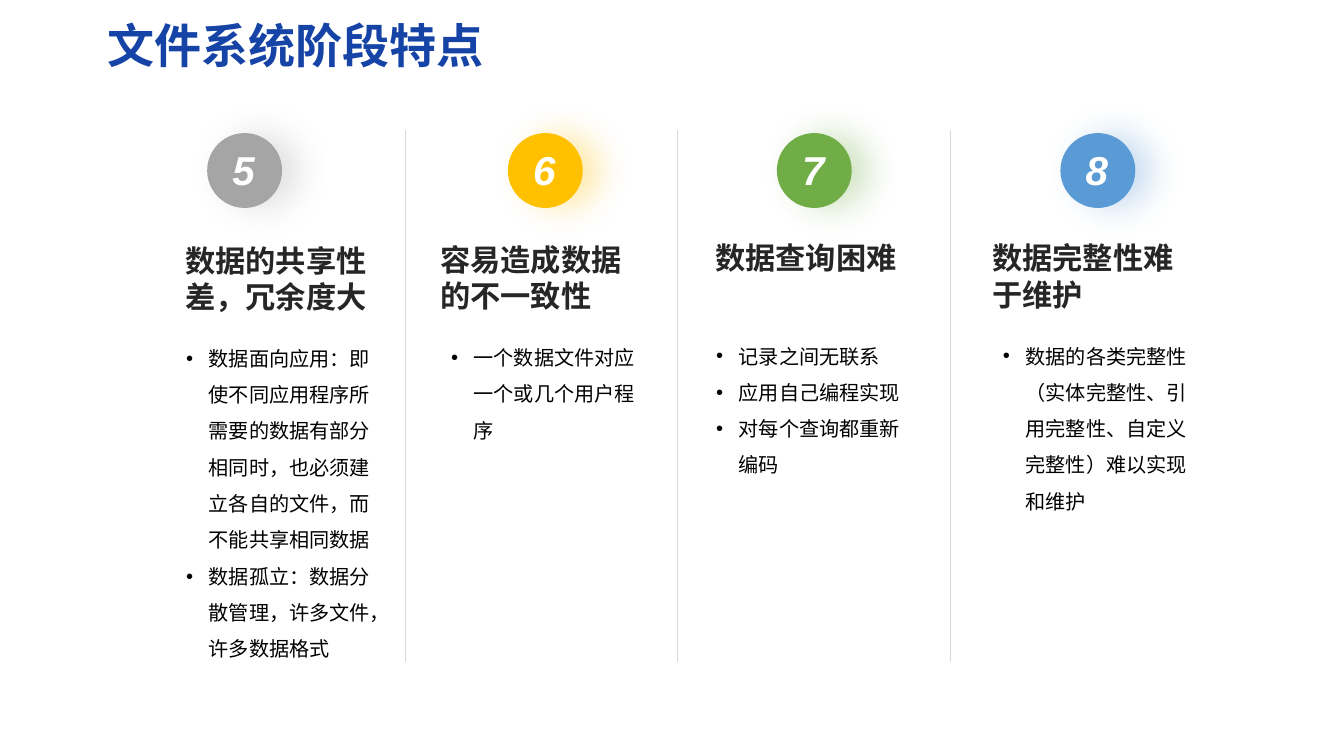
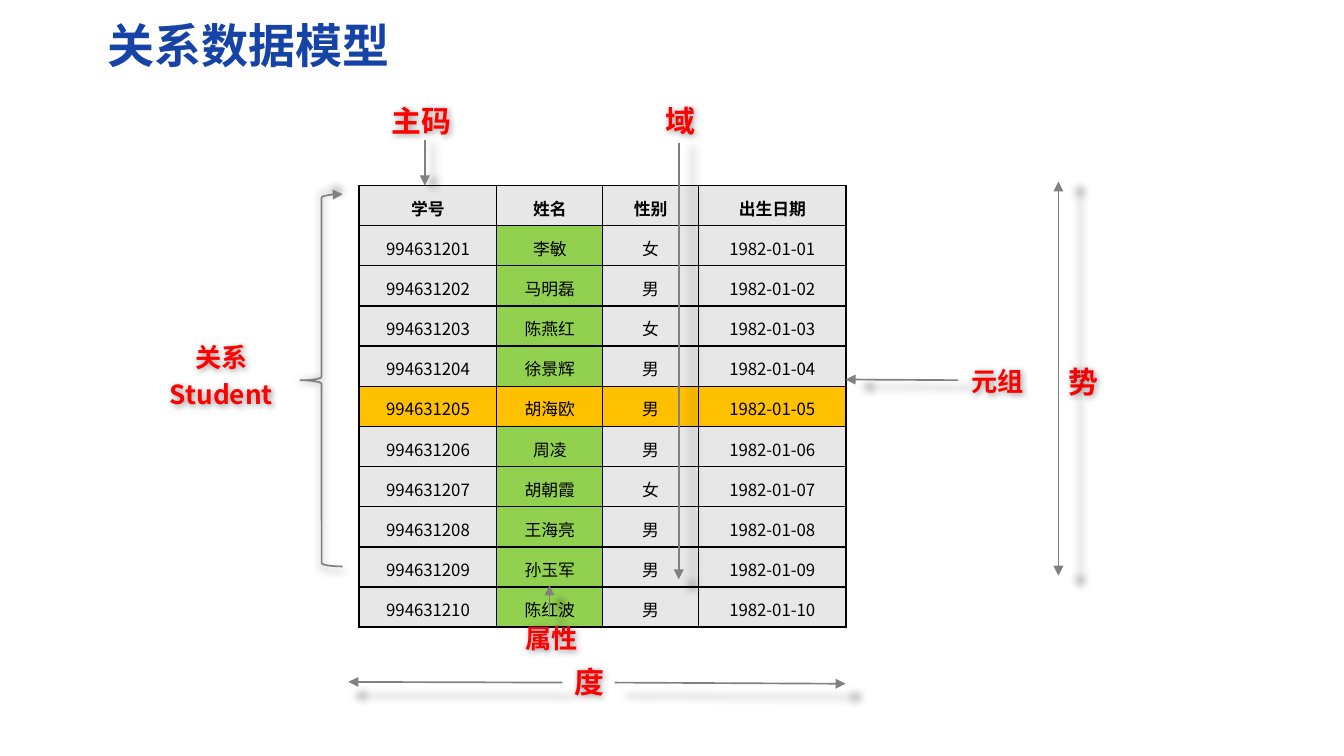
from lxml.etree import SubElement
from pptx import Presentation
from pptx.dml.color import RGBColor
from pptx.enum.shapes import MSO_CONNECTOR as Link, MSO_SHAPE as Form
from pptx.enum.text import MSO_ANCHOR as Anchor, PP_ALIGN as Align
from pptx.oxml.ns import qn
from pptx.util import Pt

SANS, LATIN = "Noto Sans CJK SC", "Arial"
HEX = dict(title="1543A6", head="262626", text="000000", white="FFFFFF",
           rule="D9D9D9", red="FF0000", arrow="808080", cell="E7E7E7",
           green="92D050", gold="FFC000", gray="A5A5A5", leaf="70AD47",
           blue="5B9BD5")

# number, colour, circle left, body left, heading top, alignment, heading, points
TRAITS = [
    ("5", "gray", 123.3, 103.7, 140.4, Align.CENTER, "数据的共享性差，冗余度大",
     ["数据面向应用：即使不同应用程序所需要的数据有部分相同时，也必须建立各自的文件，而不能共享相同数据",
      "数据孤立：数据分散管理，许多文件，许多数据格式"]),
    ("6", "gold", 302.3, 261.4, 139.9, Align.LEFT, "容易造成数据的不一致性",
     ["一个数据文件对应一个或几个用户程序"]),
    ("7", "leaf", 462.4, 419.2, 139, Align.CENTER, "数据查询困难",
     ["记录之间无联系", "应用自己编程实现", "对每个查询都重新编码"]),
    ("8", "blue", 631.2, 589.9, 139, Align.LEFT, "数据完整性难于维护",
     ["数据的各类完整性（实体完整性、引用完整性、自定义完整性）难以实现和维护"]),
]

FIELDS = ["学号", "姓名", "性别", "出生日期"]
PEOPLE = [("李敏", "女"), ("马明磊", "男"), ("陈燕红", "女"), ("徐景辉", "男"),
          ("胡海欧", "男"), ("周凌", "男"), ("胡朝霞", "女"), ("王海亮", "男"),
          ("孙玉军", "男"), ("陈红波", "男")]
WIDTHS = [81.9, 63.1, 56.9, 88]
TUPLE = 5  # highlighted row
NAME = 1  # highlighted column

# lines of text, box, size
LABELS = [
    (["属性"], (304.6, 366.5, 47.5, 26.6), 15.6),
    (["度"], (334.8, 392.4, 31.7, 26.6), 17.8),
    (["元组"], (570.2, 213.8, 47.5, 26.6), 15.6),
    (["势"], (628.8, 215.6, 32.4, 23), 17.8),
    (["关系", "Student"], (92.9, 198.7, 77.8, 49.7), 15.6),
    (["域"], (388.8, 58.3, 31.7, 26.6), 17.8),
    (["主码"], (221, 58.3, 59.8, 26.6), 17.8),
]
# from, to, arrowheads
ARROWS = [
    ((327.1, 366.5), (327.1, 348.5), ["tailEnd"]),
    ((334.8, 406.3), (207.4, 405.9), ["tailEnd"]),
    ((365.8, 406.3), (503.3, 407), ["tailEnd"]),
    ((570.2, 226.3), (503.3, 225.9), ["tailEnd"]),
    ((630, 108), (630, 342.7), ["headEnd", "tailEnd"]),
    ((404, 85), (404, 344.9), ["tailEnd"]),
    ((252.9, 83.5), (252.9, 110.4), ["tailEnd"]),
]


def rgb(key):
    return RGBColor.from_string(HEX[key])


def shade(item, color=None, alpha=40, blur=5, dist=0, turn=0, scale=100):
    """Give a shape its own shadow, or none without a colour."""
    props = item._element.spPr
    for old in props.findall(qn("a:effectLst")):
        props.remove(old)
    fx = SubElement(props, qn("a:effectLst"))
    if color:
        cast = SubElement(fx, qn("a:outerShdw"), blurRad=str(Pt(blur)),
                          dist=str(Pt(dist)), dir=str(turn * 60000),
                          sx=str(scale * 1000), sy=str(scale * 1000),
                          algn="ctr", rotWithShape="0")
        tint = SubElement(cast, qn("a:srgbClr"), val=HEX[color])
        SubElement(tint, qn("a:alpha"), val=str(alpha * 1000))


def write(frame, lines, size=12, color="text", face=SANS, bold=False,
          italic=False, align=Align.LEFT, space=None, gap=0, dot=False):
    for i, line in enumerate(lines):
        para = frame.paragraphs[0] if i == 0 else frame.add_paragraph()
        para.alignment = align
        if space:
            para.line_spacing = space
        if gap and i:
            para.space_before = Pt(gap)
        if dot:
            props = para._p.get_or_add_pPr()
            props.set("marL", str(Pt(13.5)))
            props.set("indent", str(Pt(-13.5)))
            SubElement(props, qn("a:buFont"), typeface=LATIN)
            SubElement(props, qn("a:buChar"), char="•")
        run = para.add_run()
        run.text = line
        font = run.font
        font.size, font.bold, font.italic = Pt(size), bold, italic
        font.color.rgb, font.name = rgb(color), face
        mark = run._r.get_or_add_rPr()
        mark.set("lang", "zh-CN")
        SubElement(mark, qn("a:ea"), typeface=face)


def label(slide, lines, box, anchor=Anchor.TOP, **style):
    item = slide.shapes.add_textbox(*map(Pt, box))
    frame = item.text_frame
    frame.word_wrap, frame.vertical_anchor = True, anchor
    write(frame, lines, **style)
    return item


def tips(item, ends):
    for end in ends:
        SubElement(item.line._get_or_add_ln(), qn("a:" + end), type="triangle")


def link(slide, start, end, color, width, ends=()):
    item = slide.shapes.add_connector(Link.STRAIGHT, *map(Pt, start + end))
    item.line.color.rgb, item.line.width = rgb(color), Pt(width)
    tips(item, ends)
    shade(item)
    return item


def page(deck, title):
    slide = deck.slides.add_slide(deck.slide_layouts[6])
    label(slide, [title], (57, 8, 719.3, 41), Anchor.MIDDLE,
          size=28, color="title", bold=True, space=0.9)
    return slide


def traits(deck):
    slide = page(deck, "文件系统阶段特点")
    for i in range(len(TRAITS) - 1):
        x = 241.2 + 162.1 * i
        link(slide, (x, 394.1), (x, 77.3), "rule", 0.25)
    for num, color, ring, left, top, align, head, points in TRAITS:
        disc = slide.shapes.add_shape(
            Form.OVAL, *map(Pt, (ring, 79.2, 44.6, 44.6)))
        disc.fill.solid()
        disc.fill.fore_color.rgb = rgb(color)
        disc.line.fill.background()
        shade(disc, color, 32, 20, 10)
        label(slide, [num], (ring - 4.6, 82.8, 52.6, 36), size=24,
              color="white", face=LATIN, bold=True, italic=True,
              align=Align.CENTER)
        label(slide, [head], (left - 6.4, top, 133.9, 51), size=18,
              color="head", bold=True, align=align)
        label(slide, points, (left, top + 55, 126, 69), space=1.5, dot=True)


def border(cell):
    props = cell._tc.get_or_add_tcPr()
    for side in ("lnL", "lnR", "lnT", "lnB"):
        edge = SubElement(props, qn("a:" + side), w=str(Pt(1)))
        fill = SubElement(edge, qn("a:solidFill"))
        SubElement(fill, qn("a:srgbClr"), val=HEX["text"])


def roster(slide):
    rows = [FIELDS] + [(str(994631200 + i), name, sex, f"1982-01-{i:02}")
                       for i, (name, sex) in enumerate(PEOPLE, 1)]
    high = 23.92
    grid = slide.shapes.add_table(
        len(rows), len(FIELDS),
        *map(Pt, (213.8, 110.4, sum(WIDTHS), high * len(rows)))).table
    for col, width in zip(grid.columns, WIDTHS):
        col.width = Pt(width)
    for r, row in enumerate(rows):
        grid.rows[r].height = Pt(high)
        for c, text in enumerate(row):
            cell = grid.cell(r, c)
            cell.margin_left = cell.margin_right = Pt(7.8)
            cell.margin_top = cell.margin_bottom = Pt(3.3)
            cell.vertical_anchor = Anchor.BOTTOM
            border(cell)
            cell.fill.solid()
            cell.fill.fore_color.rgb = rgb(
                "gold" if r == TUPLE else
                "green" if r and c == NAME else "cell")
            write(cell.text_frame, [text], size=10, bold=r == 0,
                  align=Align.CENTER, space=1.2)


def model(deck):
    slide = page(deck, "关系数据模型")
    roster(slide)
    for lines, box, size in LABELS:
        item = label(slide, lines, box, Anchor.MIDDLE, size=size, color="red",
                     bold=True, align=Align.CENTER, gap=3.1)
        shade(item, "text", 40, 4, 1, 45)
    for start, end, ends in ARROWS:
        arrow = link(slide, start, end, "arrow", 1, ends)
        shade(arrow, "text", scale=102)
    brace = slide.shapes.add_shape(
        Form.LEFT_BRACE, *map(Pt, (178.8, 115.6, 25.2, 221.6)))
    brace.fill.background()
    brace.line.color.rgb, brace.line.width = rgb("arrow"), Pt(1)
    tips(brace, ["tailEnd"])
    shade(brace, "text", scale=102)


def main():
    deck = Presentation()
    deck.slide_width, deck.slide_height = Pt(800), Pt(450)
    traits(deck)
    model(deck)
    deck.save("out.pptx")


if __name__ == "__main__":
    main()
